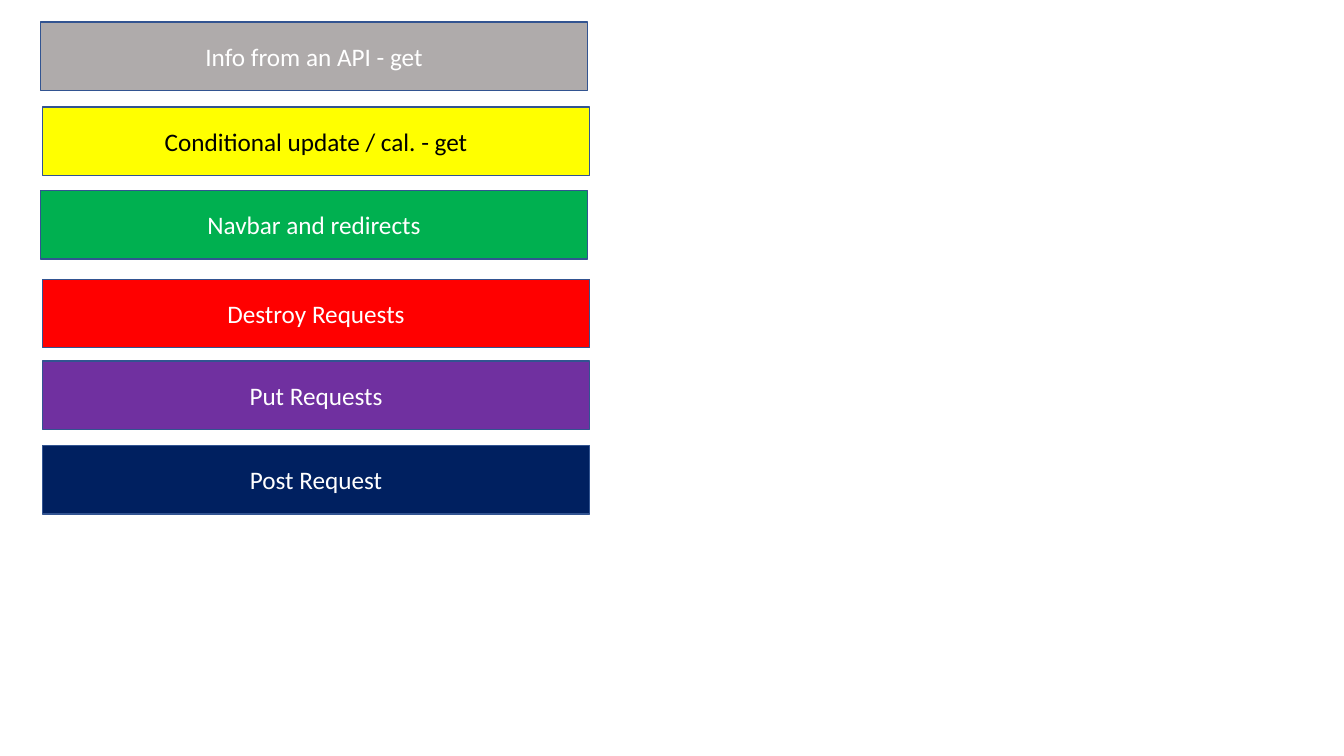
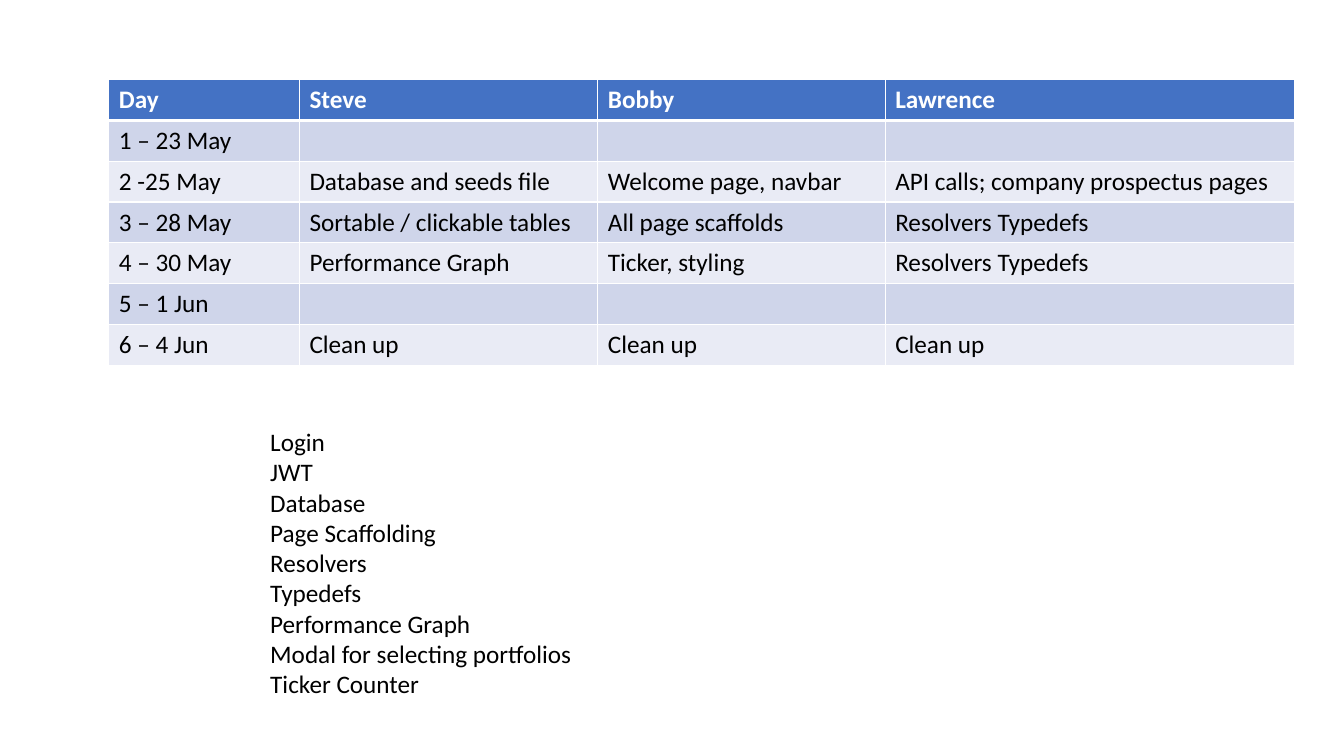
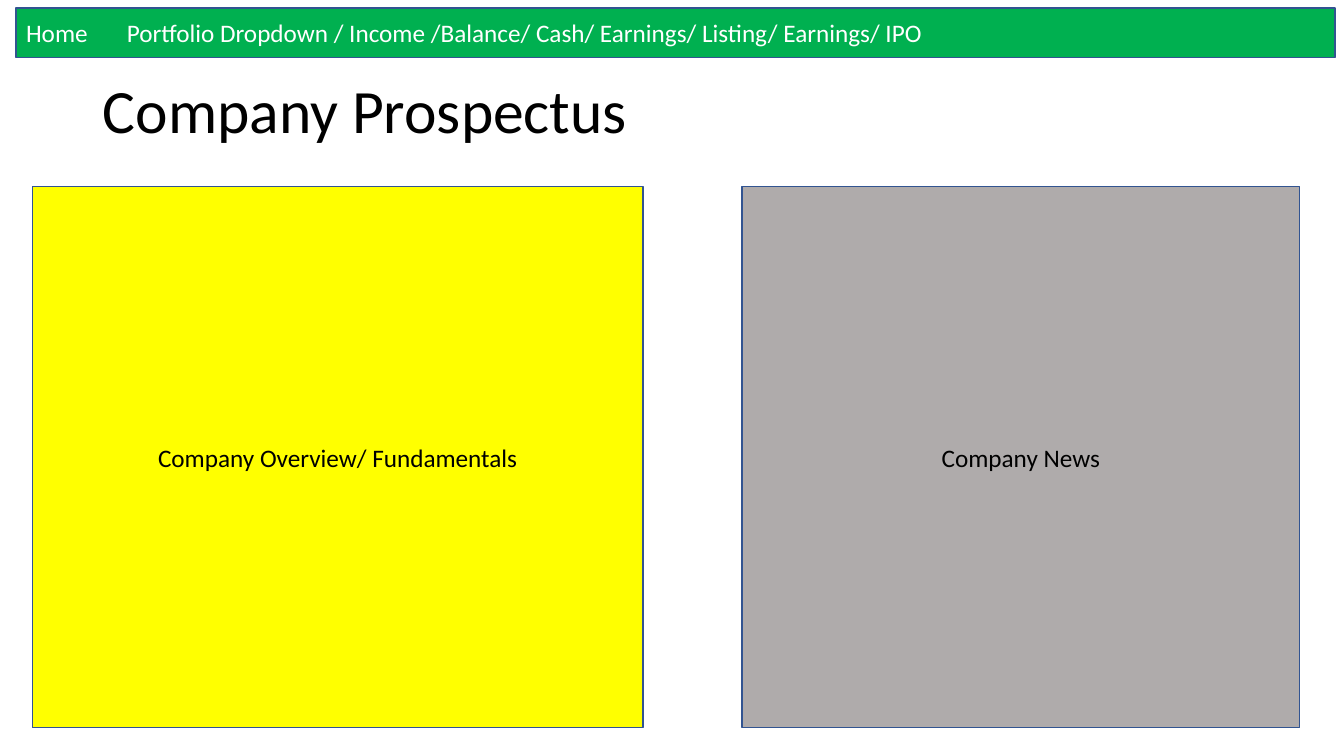
"""Build three planning slides: colour legend, schedule and company prospectus page."""
import dataclasses

import lxml.etree
import pptx
import pptx.dml.color
import pptx.enum.shapes
import pptx.enum.text
import pptx.oxml
import pptx.oxml.ns
import pptx.util

Inches = pptx.util.Inches
Pt = pptx.util.Pt
Align = pptx.enum.text.PP_ALIGN
Anchor = pptx.enum.text.MSO_ANCHOR

FONT = "Calibri"
COLORS = {
    "white": "FFFFFF",
    "black": "000000",
    "grey": "AFABAB",
    "yellow": "FFFF00",
    "green": "00B050",
    "red": "FF0000",
    "purple": "7030A0",
    "navy": "002060",
    "outline": "325491",
    "header": "4472C4",
    "odd": "CFD5EA",
    "even": "E9EBF5",
}


@dataclasses.dataclass
class Box:
    text: str
    left: float
    top: float
    width: float
    height: float
    fill: str
    color: str = "white"
    align: Align = Align.CENTER


LEGEND_SIZE = (5.43, 0.68)
LEGEND = [
    Box("Info from an API - get", 0.4, 0.22, *LEGEND_SIZE, "grey"),
    Box("Conditional update / cal. - get", 0.42, 1.06, *LEGEND_SIZE, "yellow", "black"),
    Box("Navbar and redirects", 0.4, 1.89, *LEGEND_SIZE, "green"),
    Box("Destroy Requests", 0.42, 2.77, *LEGEND_SIZE, "red"),
    Box("Put Requests", 0.42, 3.58, *LEGEND_SIZE, "purple"),
    Box("Post Request", 0.42, 4.42, *LEGEND_SIZE, "navy"),
]
PROSPECTUS = [
    Box("Company Overview/ Fundamentals", 0.32, 1.85, 6.06, 5.37, "yellow", "black"),
    Box("Company News", 7.36, 1.85, 5.53, 5.37, "grey", "black"),
    Box("Home\tPortfolio Dropdown / Income /Balance/ Cash/ Earnings/ Listing/ Earnings/ IPO",
        0.16, 0.08, 13.08, 0.49, "green", align=Align.LEFT),
]
COLUMNS = [1.89, 2.96, 2.85, 4.06]
ROW_HEIGHT = 0.405
SCHEDULE = [
    ["Day", "Steve", "Bobby", "Lawrence"],
    ["1 – 23 May", "", "", ""],
    ["2 -25 May", "Database and seeds file", "Welcome page, navbar",
     "API calls; company prospectus pages"],
    ["3 – 28 May", "Sortable / clickable tables", "All page scaffolds", "Resolvers Typedefs"],
    ["4 – 30 May", "Performance Graph", "Ticker, styling", "Resolvers Typedefs"],
    ["5 – 1 Jun", "", "", ""],
    ["6 – 4 Jun", "Clean up", "Clean up", "Clean up"],
]
TASKS = ["Login", "JWT", "Database", "Page Scaffolding", "Resolvers", "Typedefs",
         "Performance Graph", "Modal for selecting portfolios", "Ticker Counter"]


def rgb(name: str) -> pptx.dml.color.RGBColor:
    return pptx.dml.color.RGBColor.from_string(COLORS[name])


def add_run(p, text: str, color: str = "black", size: float = 18, bold: bool = False) -> None:
    r = p.add_run()
    r.text = text
    r.font.name = FONT
    r.font.size = Pt(size)
    r.font.bold = bold
    r.font.color.rgb = rgb(color)


def place(sp, left: float, top: float, width: float, height: float) -> None:
    sp.left, sp.top = Inches(left), Inches(top)
    sp.width, sp.height = Inches(width), Inches(height)


def add_box(s, box: Box) -> None:
    sp = s.shapes.add_shape(
        pptx.enum.shapes.MSO_SHAPE.RECTANGLE, Inches(box.left), Inches(box.top),
        Inches(box.width), Inches(box.height))
    sp.shadow.inherit = False
    sp.fill.solid()
    sp.fill.fore_color.rgb = rgb(box.fill)
    sp.line.color.rgb = rgb("outline")
    sp.line.width = Pt(1)
    tf = sp.text_frame
    tf.word_wrap = True
    tf.vertical_anchor = Anchor.MIDDLE
    p = tf.paragraphs[0]
    p.alignment = box.align
    add_run(p, box.text, box.color)


def add_border(cell, side: str, width: float) -> None:
    tag = pptx.oxml.ns.qn
    ln = lxml.etree.SubElement(cell._tc.get_or_add_tcPr(), tag(f"a:ln{side}"), w=str(Pt(width)))
    fill = lxml.etree.SubElement(ln, tag("a:solidFill"))
    lxml.etree.SubElement(fill, tag("a:srgbClr"), val=COLORS["white"])


def add_schedule(s) -> None:
    table = s.shapes.add_table(
        len(SCHEDULE), len(COLUMNS), Inches(1.08), Inches(0.79),
        Inches(sum(COLUMNS)), Inches(ROW_HEIGHT * len(SCHEDULE))).table
    for column, width in zip(table.columns, COLUMNS):
        column.width = Inches(width)
    for i, row in enumerate(SCHEDULE):
        table.rows[i].height = Inches(ROW_HEIGHT)
        header = i == 0
        fill = "header" if header else ("even", "odd")[i % 2]
        widths = {"L": 1, "R": 1, "T": 3 if i == 1 else 1, "B": 3 if header else 1}
        for j, text in enumerate(row):
            cell = table.cell(i, j)
            for side, width in widths.items():
                add_border(cell, side, width)
            cell.fill.solid()
            cell.fill.fore_color.rgb = rgb(fill)
            if text:
                add_run(cell.text_frame.paragraphs[0], text,
                        "white" if header else "black", bold=header)


def add_tasks(s) -> None:
    sp = s.placeholders[1]
    place(sp, 2.58, 4.18, 6.11, 3.13)
    tf = sp.text_frame
    tf.word_wrap = True
    tf.auto_size = pptx.enum.text.MSO_AUTO_SIZE.SHAPE_TO_FIT_TEXT
    for i, task in enumerate(TASKS):
        p = tf.add_paragraph() if i else tf.paragraphs[0]
        p.line_spacing = 1.0
        p.space_before = Pt(0)
        pPr = p._p.get_or_add_pPr()
        pPr.set("marL", "0")
        pPr.set("indent", "0")
        lxml.etree.SubElement(pPr, pptx.oxml.ns.qn("a:buNone"))
        add_run(p, task)


def add_title(s, text: str) -> None:
    sp = s.shapes.title
    place(sp, 0.92, 0.4, 11.5, 1.45)
    tf = sp.text_frame
    tf.vertical_anchor = Anchor.MIDDLE
    p = tf.paragraphs[0]
    p.alignment = Align.LEFT
    p.line_spacing = 0.9
    add_run(p, text, size=44)


def main() -> None:
    prs = pptx.Presentation()
    prs.slide_width, prs.slide_height = Inches(13.33), Inches(7.5)
    content, title_only, blank = (prs.slide_layouts[i] for i in (1, 5, 6))

    s = prs.slides.add_slide(blank)
    for box in LEGEND:
        add_box(s, box)

    s = prs.slides.add_slide(content)
    title = s.shapes.title._element
    title.getparent().remove(title)
    add_schedule(s)
    add_tasks(s)

    s = prs.slides.add_slide(title_only)
    add_title(s, "Company Prospectus")
    for box in PROSPECTUS:
        add_box(s, box)

    prs.save("out.pptx")


if __name__ == "__main__":
    main()
